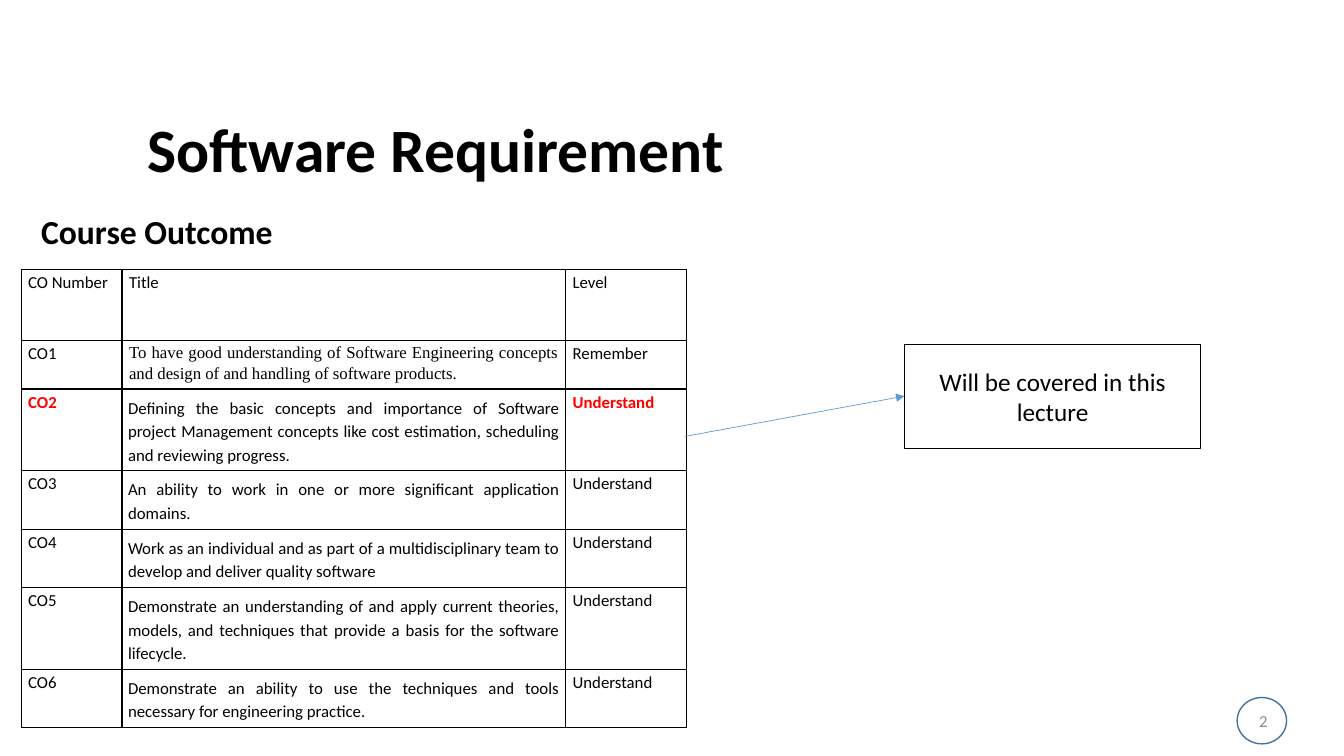
from lxml import etree
from pptx import Presentation, util as u
from pptx.dml.color import RGBColor
from pptx.enum import shapes, text
from pptx.oxml import ns

PX = 9144  # 100 px to the inch
COLORS = {"ink": "000000", "paper": "FFFFFF", "highlight": "FF0000",
          "arrow": "5B9BD5", "ring": "43739E", "page": "8C8C8C"}
BODY_FONT = "Calibri"
ALIGN = text.PP_ALIGN
ANCHOR = text.MSO_ANCHOR

COLUMN_WIDTHS = (100, 440, 120)
ROW_HEIGHTS = (71, 48, 80, 57, 57, 80, 57)
COVERED = "CO2"
OUTCOMES = (
    ("CO Number", "Title", "Level"),
    ("CO1", "To have good understanding of Software Engineering concepts "
     "and design of and handling of software products.", "Remember"),
    ("CO2", "Defining the basic concepts and importance of Software project "
     "Management concepts like cost estimation, scheduling and reviewing "
     "progress.", "Understand"),
    ("CO3", "An ability to work in one or more significant application "
     "domains.", "Understand"),
    ("CO4", "Work as an individual and as part of a multidisciplinary team "
     "to develop and deliver quality software", "Understand"),
    ("CO5", "Demonstrate an understanding of and apply current theories, "
     "models, and techniques that provide a basis for the software "
     "lifecycle.", "Understand"),
    ("CO6", "Demonstrate an ability to use the techniques and "
     "tools necessary for engineering practice.", "Understand"),
)


def px(*lengths):
    return [u.Emu(length * PX) for length in lengths]


def rgb(name):
    return RGBColor.from_string(COLORS[name])


def write(frame, words, size, color="ink", bold=False, align=ALIGN.LEFT,
          font=BODY_FONT, spacing=1.0):
    paragraph = frame.paragraphs[0]
    paragraph.text = words
    paragraph.alignment = align
    paragraph.line_spacing = spacing
    paragraph.font.name = font
    paragraph.font.size = u.Pt(size)
    paragraph.font.bold = bold
    paragraph.font.color.rgb = rgb(color)
    return paragraph


def add_label(slide, box, words, size, anchor=ANCHOR.TOP, wrap=True, **style):
    frame = slide.shapes.add_textbox(*px(*box)).text_frame
    frame.word_wrap = wrap
    frame.vertical_anchor = anchor
    write(frame, words, size, **style)


def add_outline(slide, kind, box, line, fill=None):
    outline = slide.shapes.add_shape(kind, *px(*box))
    outline.shadow.inherit = False
    if fill:
        outline.fill.solid()
        outline.fill.fore_color.rgb = rgb(fill)
    else:
        outline.fill.background()
    outline.line.color.rgb = rgb(line)
    outline.line.width = u.Pt(1)
    return outline


def add_arrow(slide, start, end):
    arrow = slide.shapes.add_connector(shapes.MSO_CONNECTOR.STRAIGHT,
                                       *px(*start, *end))
    arrow.line.color.rgb = rgb("arrow")
    arrow.line.width = u.Pt(0.5)
    etree.SubElement(arrow.line._get_or_add_ln(), ns.qn("a:tailEnd"),
                     type="triangle")
    etree.SubElement(arrow._element.spPr, ns.qn("a:effectLst"))


def add_borders(cell):
    """Draw the four cell edges; they must come before the fill in tcPr."""
    properties = cell._tc.get_or_add_tcPr()
    for position, side in enumerate(("lnL", "lnR", "lnT", "lnB")):
        edge = etree.Element(ns.qn(f"a:{side}"), w=str(u.Pt(1)))
        fill = etree.SubElement(edge, ns.qn("a:solidFill"))
        etree.SubElement(fill, ns.qn("a:srgbClr"), val=COLORS["ink"])
        properties.insert(position, edge)


def set_margins(cell, side, top):
    cell.margin_left = cell.margin_right = px(side)[0]
    cell.margin_top = cell.margin_bottom = px(top)[0]


def fill_cell(cell, words, row, column, covered):
    cell.fill.background()
    add_borders(cell)
    description = column == 1 and row > 0
    padded = description and row > 1
    set_margins(cell, *((6, 6) if padded else (7, 0)))
    marked = covered and not description
    paragraph = write(cell.text_frame, words, 12, spacing=1.15, bold=marked,
                      color="highlight" if marked else "ink",
                      align=ALIGN.JUSTIFY if description else ALIGN.LEFT)
    if description and not padded:
        paragraph.font.name = "Times New Roman"
        paragraph.space_after = u.Pt(4.5)


def add_outcome_table(slide, left, top):
    table = slide.shapes.add_table(
        len(OUTCOMES), len(COLUMN_WIDTHS),
        *px(left, top, sum(COLUMN_WIDTHS), sum(ROW_HEIGHTS))).table
    table.first_row = table.horz_banding = False
    for column, width in zip(table.columns, px(*COLUMN_WIDTHS)):
        column.width = width
    for row, height in zip(table.rows, px(*ROW_HEIGHTS)):
        row.height = height
    for row, outcome in enumerate(OUTCOMES):
        for column, words in enumerate(outcome):
            fill_cell(table.cell(row, column), words, row, column,
                      outcome[0] == COVERED)


def add_note(slide, box, words):
    note = add_outline(slide, shapes.MSO_SHAPE.RECTANGLE, box, "ink", "paper")
    note.text_frame.word_wrap = True
    note.text_frame.vertical_anchor = ANCHOR.MIDDLE
    write(note.text_frame, words, 18, align=ALIGN.CENTER)


def main():
    deck = Presentation()
    deck.slide_width, deck.slide_height = px(1333, 750)
    slide = deck.slides.add_slide(deck.slide_layouts[6])

    add_label(slide, (967, 695, 300, 40), "2", 12, anchor=ANCHOR.MIDDLE,
              color="page", align=ALIGN.RIGHT)
    add_label(slide, (98, 46, 669, 143), "Software Requirement", 44,
              anchor=ANCHOR.BOTTOM, bold=True, align=ALIGN.CENTER, spacing=0.9)
    add_outline(slide, shapes.MSO_SHAPE.OVAL, (1227, 692, 49, 46), "ring")
    add_outcome_table(slide, 21, 267)
    add_label(slide, (31, 204, 260, 50), "Course Outcome", 24, wrap=False,
              bold=True)
    add_arrow(slide, (679, 433), (897, 393))
    add_note(slide, (897, 342, 294, 103), "Will be covered in this lecture")

    deck.save("out.pptx")


if __name__ == "__main__":
    main()
